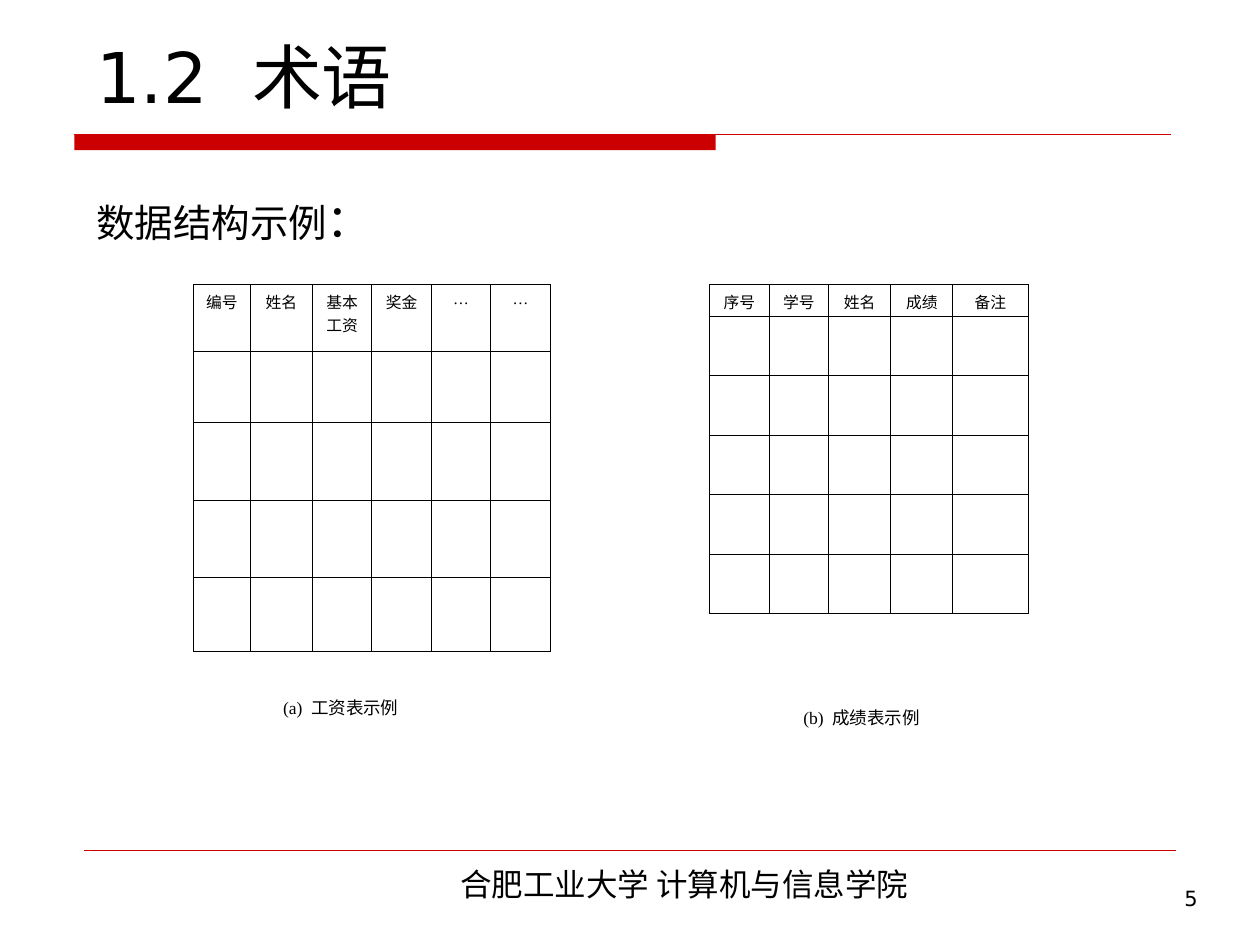
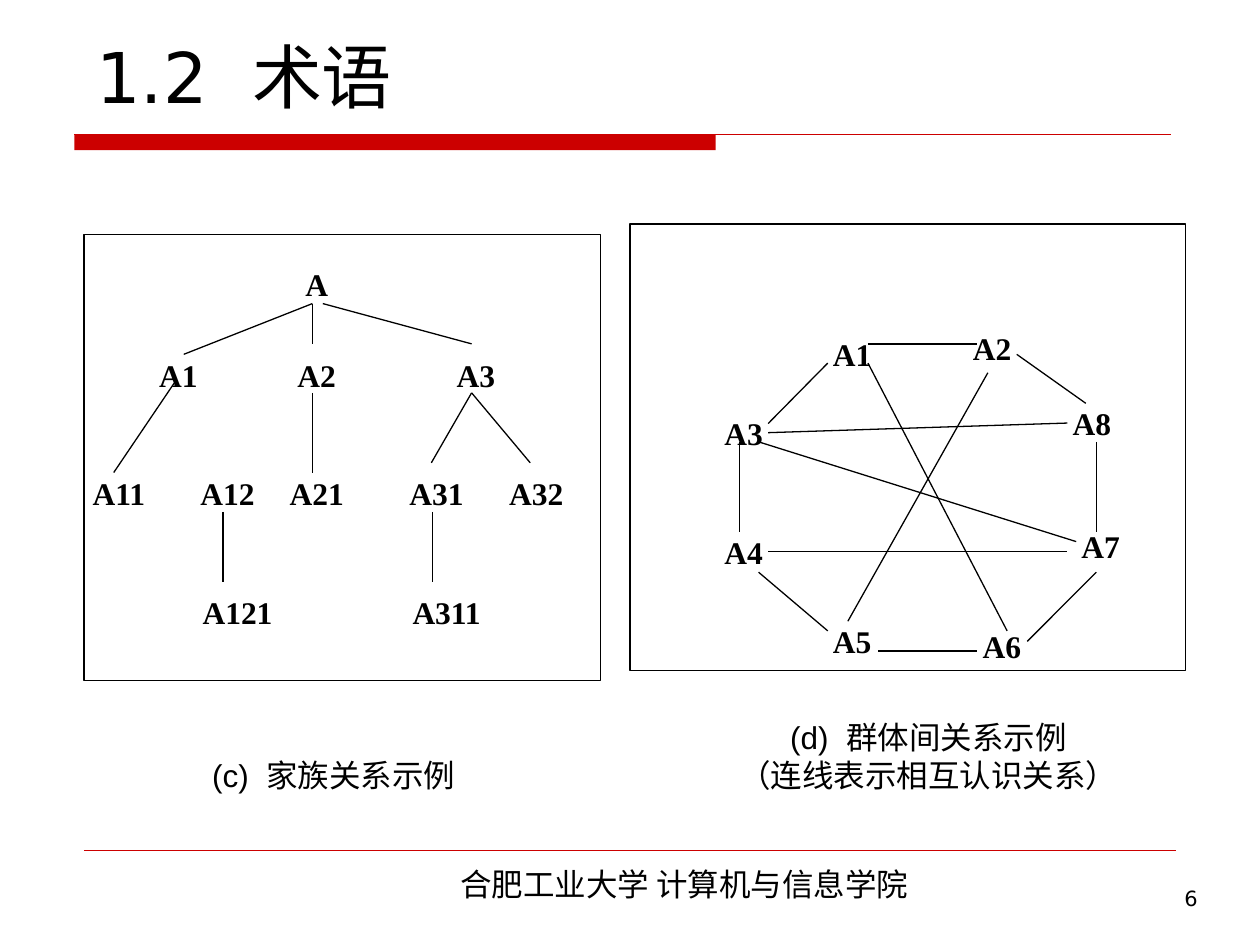
from lxml.etree import SubElement
from pptx import Presentation
from pptx.dml.color import RGBColor
from pptx.enum.shapes import MSO_CONNECTOR as CONNECTOR, MSO_SHAPE as SHAPE
from pptx.enum.text import MSO_ANCHOR as ANCHOR, MSO_AUTO_SIZE as AUTO_SIZE, PP_ALIGN as ALIGN
from pptx.oxml.ns import qn
from pptx.util import Pt

BLACK = RGBColor(0, 0, 0)
WHITE = RGBColor(255, 255, 255)
RED = RGBColor(0xCC, 0, 0)
SANS, SERIF, ARIAL, CJK = "DejaVu Sans", "Times New Roman", "Arial", "Noto Sans CJK SC"
RIGHT, LEFT = 3, 1  # connection sites


def write_text(frame, text, *, size, font=SERIF, bold=False, align=ALIGN.LEFT,
               before=None, gap=0):
    """Fill a text frame; gap widens the first space of a line by that many points."""
    for index, line in enumerate(text.split("\n")):
        paragraph = frame.add_paragraph() if index else frame.paragraphs[0]
        paragraph.alignment = align
        if before:
            paragraph.space_before = Pt(before)
        for piece in line.partition(" ") if gap else [line]:
            if not piece:
                continue
            run = paragraph.add_run()
            run.text = piece
            run.font.size, run.font.name, run.font.bold = Pt(size), font, bold
            run.font.color.rgb = BLACK
            properties = run.font._element
            SubElement(properties, qn("a:ea")).set("typeface", CJK)
            if piece == " ":
                properties.set("spc", str(round(gap * 100)))


def add_line(slide, start, end, color=BLACK, width=0.75):
    line = slide.shapes.add_connector(CONNECTOR.STRAIGHT, *map(Pt, start + end))
    line.line.color.rgb = color
    line.line.width = Pt(width)
    SubElement(line._element.spPr, qn("a:effectLst"))
    return line


presentation = Presentation()
presentation.slide_width, presentation.slide_height = Pt(720), Pt(540)

# Title, red band and footer shared by both slides
slides = []
for number in (5, 6):
    slide = presentation.slides.add_slide(presentation.slide_layouts[6])
    slides.append(slide)
    band = slide.shapes.add_shape(SHAPE.RECTANGLE, Pt(42.5), Pt(77), Pt(366.5), Pt(8.8))
    band.shadow.inherit = False
    band.fill.solid()
    band.fill.fore_color.rgb = RED
    band.line.fill.background()
    add_line(slide, (42.5, 77), (669, 77), RED)
    add_line(slide, (48, 486), (672, 486), RED, 0.25)
    for text, box, anchor, style in (
        ("合肥工业大学 计算机与信息学院", (173, 491, 436, 29), ANCHOR.TOP,
         dict(size=18, font=CJK, align=ALIGN.CENTER, before=11.2)),
        (str(number), (535.5, 502.5, 156, 37.5), ANCHOR.TOP,
         dict(size=12, font=SANS, align=ALIGN.RIGHT)),
        ("1.2 术语", (48, -25, 630, 95.5), ANCHOR.BOTTOM,
         dict(size=40, font=SANS, gap=12.7)),
    ):
        frame = slide.shapes.add_textbox(*map(Pt, box)).text_frame
        frame.word_wrap = True
        frame.vertical_anchor = anchor
        write_text(frame, text, **style)

table_slide, graph_slide = slides

# Slide 5: two sample tables
frame = table_slide.shapes.add_textbox(Pt(48), Pt(106), Pt(629), Pt(336)).text_frame
frame.word_wrap = True
write_text(frame, "数据结构示例", size=22, before=6.5)
colon = frame.paragraphs[0].add_run()
colon.text = "："
colon.font.size, colon.font.name, colon.font.color.rgb = Pt(26), SERIF, BLACK
SubElement(colon.font._element, qn("a:ea")).set("typeface", CJK)

for text, box in (
    ("(a) 工资表示例", (116, 394.5, 157.5, 23)),
    ("(b) 成绩表示例", (405.5, 400.5, 173.5, 23)),
):
    caption = table_slide.shapes.add_shape(SHAPE.RECTANGLE, *map(Pt, box))
    caption.shadow.inherit = False
    caption.fill.solid()
    caption.fill.fore_color.rgb = WHITE
    caption.line.fill.background()
    caption.text_frame.vertical_anchor = ANCHOR.TOP
    write_text(caption.text_frame, text, size=10, align=ALIGN.CENTER, gap=2.5)

for left, headers, widths, heights in (
    (110.5, ["编号", "姓名", "基本\n工资", "奖金", "…", "…"],
     [32.5, 35.5, 34, 34, 34, 34], [38.5, 40.5, 44.5, 44, 42.5]),
    (405.5, ["序号", "学号", "姓名", "成绩", "备注"],
     [34, 34, 35.5, 35.5, 43], [18] + [34] * 5),
):
    table = table_slide.shapes.add_table(
        len(heights), len(widths), Pt(left), Pt(162.5),
        Pt(sum(widths)), Pt(sum(heights))).table
    table.first_row = table.horz_banding = False
    for column, width in zip(table.columns, widths):
        column.width = Pt(width)
    for row, height in zip(table.rows, heights):
        row.height = Pt(height)
    for cell in table.iter_cells():
        cell.text_frame.paragraphs[0].font.size = Pt(9)
        properties = cell._tc.get_or_add_tcPr()
        for side in ("lnL", "lnR", "lnT", "lnB"):
            border = SubElement(properties, qn(f"a:{side}"), w=str(Pt(0.45)))
            fill = SubElement(border, qn("a:solidFill"))
            SubElement(fill, qn("a:srgbClr"), val=str(BLACK))
        cell.fill.background()
    for index, header in enumerate(headers):
        write_text(table.cell(0, index).text_frame, header, size=9, align=ALIGN.CENTER)

# Slide 6: family tree and acquaintance graph
for box in ((48, 134, 295, 255), (360, 128, 317.5, 255)):
    panel = graph_slide.shapes.add_shape(SHAPE.RECTANGLE, *map(Pt, box))
    panel.shadow.inherit = False
    panel.fill.background()
    panel.line.color.rgb = BLACK
    panel.line.width = Pt(0.75)

tree_levels = [
    (151, 28, 23, {"A": 167}),
    (202.5, 28, 23, {"A1": 88, "A2": 167, "A3": 258}),
    (270, 28, 23, {"A11": 54, "A12": 116, "A21": 167, "A31": 235.5, "A32": 292.5}),
    (332.5, 39.5, 34, {"A121": 116, "A311": 235.5}),
]
tree_nodes = [(name, left, top, width, height)
              for top, width, height, level in tree_levels
              for name, left in level.items()]
graph_nodes = [
    ("A1", 473, 191, 28, 22.5), ("A2", 553, 185, 28, 28),
    ("A3", 411, 236, 28, 22.5), ("A4", 411, 304, 28, 22.5),
    ("A5", 473, 355, 28, 22.5), ("A6", 558.5, 355, 28, 28),
    ("A7", 615, 298, 28, 28), ("A8", 610, 230.5, 28, 22.5),
]
captions = [
    ("(c) 家族关系示例", 114.5, 428.5, 152.5, 29),
    ("(d) 群体间关系示例\n（连线表示相互认识关系）", 417, 412, 227, 39.5),
]
node_style = dict(size=18, bold=True, align=ALIGN.CENTER)
caption_style = dict(size=18, font=ARIAL, align=ALIGN.CENTER, gap=5)
people = {}
for labels, style in ((tree_nodes, node_style), (graph_nodes, node_style),
                      (captions, caption_style)):
    for text, *box in labels:
        shape = graph_slide.shapes.add_textbox(*map(Pt, box))
        shape.text_frame.word_wrap = False
        shape.text_frame.auto_size = AUTO_SIZE.NONE
        shape.text_frame.vertical_anchor = ANCHOR.MIDDLE
        write_text(shape.text_frame, text, **style)
        if labels is graph_nodes:
            people[text] = shape

tree_edges = [
    ((178.5, 173.5), (105, 202.5)), ((178.5, 173.5), (178.5, 196.5)),
    ((184.5, 173.5), (269.5, 196.5)), ((99.5, 219), (65, 270)),
    ((178.5, 224.5), (178.5, 270)), ((269.5, 224.5), (246.5, 264.5)),
    ((269.5, 224.5), (303, 264.5)), ((127.5, 292.5), (127.5, 332.5)),
    ((247, 292.5), (247, 332.5)),
]
graph_edges = [
    ((439, 242), (473, 207.5)), ((422.5, 252.5), (422.5, 304)),
    ((433.5, 327), (473, 360.5)), ((502, 372), (558.5, 372)),
    ((587, 366.5), (626.5, 327)), ((626.5, 252.5), (626.5, 304)),
    ((581, 202.5), (620.5, 230.5)), ((496, 196.5), (558.5, 196.5)),
    ((433.5, 252.5), (615, 309.5)), ((496, 207.5), (575.5, 360.5)),
    ((484.5, 355), (564.5, 213)),
]
for start, end in tree_edges + graph_edges:
    add_line(graph_slide, start, end)

# Edges that meet the middle of a node's side
edge = add_line(graph_slide, (439, 247.25), (610, 241.75))
edge.begin_connect(people["A3"], RIGHT)
edge.end_connect(people["A8"], LEFT)
edge = add_line(graph_slide, (439, 315.25), (610, 315.25))
edge.begin_connect(people["A4"], RIGHT)

presentation.save("out.pptx")
